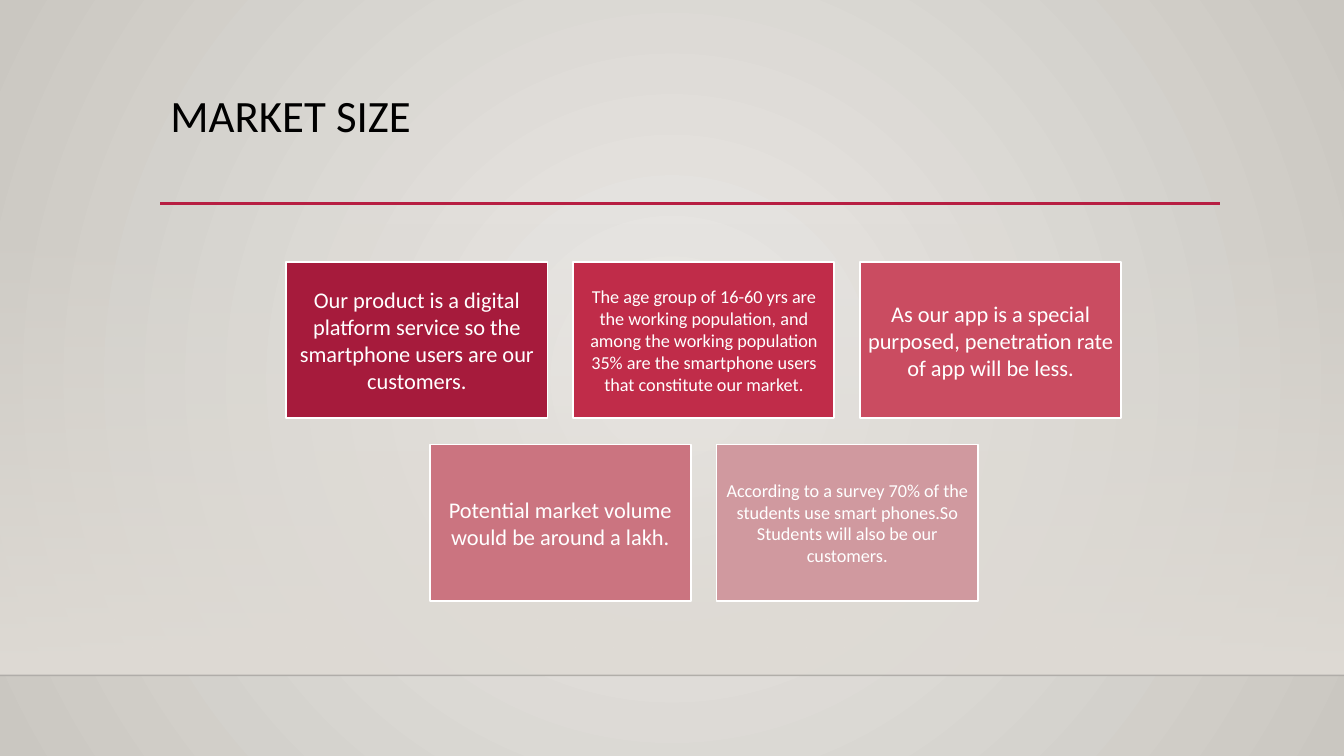
"""Build the market size slide with five statement cards."""
import pptx
import pptx.dml.color
import pptx.enum.shapes
import pptx.enum.text
import pptx.oxml
import pptx.oxml.ns
import pptx.util
from pptx.util import Inches

COLORS = {
    "glow": "ECEAE7", "edge": "CAC7C1", "wall": "DFDBD5", "floor_line": "000001",
    "rule": "B71E42", "title": "000000", "white": "FFFFFF",
    "card1": "A61B3C", "card2": "C02C49", "card3": "CA4C61",
    "card4": "CB7480", "card5": "D0999F",
}
CARD_WIDTH, CARD_HEIGHT = 2.59, 1.55
STEP_X, STEP_Y = 2.845, 1.81
CARDS_CENTER, CARDS_TOP = 6.98, 2.6
ROWS = [
    [("Our product is a digital platform service so the smartphone users are our customers.", 16),
     ("The age group of 16-60 yrs are the working population, and among the working population "
      "35% are the smartphone users that constitute our market.", 13),
     ("As our app is a special purposed, penetration rate of app will be less.", 16)],
    [("Potential market volume would be around a lakh.", 16),
     ("According to a survey 70% of the students use smart phones.So Students will also be our "
      "customers.", 13)],
]


def color(name):
    return pptx.dml.color.RGBColor.from_string(COLORS[name])


def write(box, text, size=16, ink="white", align="CENTER", anchor="MIDDLE",
          inset_x=0.07, inset_y=0.07, spacing=1.0):
    frame = box.text_frame
    frame.word_wrap = True
    frame.auto_size = pptx.enum.text.MSO_AUTO_SIZE.NONE
    frame.vertical_anchor = pptx.enum.text.MSO_ANCHOR[anchor]
    frame.margin_left = frame.margin_right = Inches(inset_x)
    frame.margin_top = frame.margin_bottom = Inches(inset_y)
    para = frame.paragraphs[0]
    para.alignment = pptx.enum.text.PP_ALIGN[align]
    para.line_spacing = spacing
    span = para.add_run()
    span.text = text
    span.font.name = "Calibri"
    span.font.size = pptx.util.Pt(size)
    span.font.color.rgb = color(ink)


deck = pptx.Presentation()
deck.slide_width, deck.slide_height = Inches(13.33), Inches(7.5)
page = deck.slides.add_slide(deck.slide_layouts[5])
qn = pptx.oxml.ns.qn
namespace = pptx.oxml.ns.nsdecls("a")
rectangle = pptx.enum.shapes.MSO_SHAPE.RECTANGLE

backdrop = page.background.fill
backdrop.gradient()
for stop, name in zip(backdrop.gradient_stops, ("glow", "edge")):
    stop.color.rgb = color(name)
gradient = page.element.find(".//" + qn("a:gradFill"))
gradient.replace(gradient.find(qn("a:lin")), pptx.oxml.parse_xml(
    f'<a:path {namespace} path="circle">'
    '<a:fillToRect l="50000" t="50000" r="50000" b="50000"/></a:path>'))

wall = page.shapes.add_shape(rectangle, 0, Inches(2.21), Inches(13.33), Inches(4.49))
wall.shadow.inherit = False
wall.line.fill.background()
wall.fill.gradient()
wall.fill.gradient_angle = 270
for stop in wall.fill.gradient_stops:
    stop.color.rgb = color("wall")
wall.element.find(".//" + qn("a:srgbClr")).append(
    pptx.oxml.parse_xml(f'<a:alpha {namespace} val="0"/>'))

for left, right, top, name, width, opacity in (
        (0, 13.33, 6.7, "floor_line", 1, 20), (1.59, 12.1, 2.02, "rule", 2.5, 100)):
    rule = page.shapes.add_connector(pptx.enum.shapes.MSO_CONNECTOR.STRAIGHT,
                                     Inches(left), Inches(top), Inches(right), Inches(top))
    rule.line.color.rgb = color(name)
    rule.line.width = pptx.util.Pt(width)
    rule.element.find(".//" + qn("a:srgbClr")).append(
        pptx.oxml.parse_xml(f'<a:alpha {namespace} val="{opacity * 1000}"/>'))
    rule.element.spPr.append(pptx.oxml.parse_xml(f"<a:effectLst {namespace}/>"))

title = page.shapes.title
title.left, title.top = Inches(1.59), Inches(0.88)
title.width, title.height = Inches(10.5), Inches(1.15)
write(title, "MARKET SIZE", size=32, ink="title", align="LEFT", anchor="TOP",
      inset_x=0.1, inset_y=0.05, spacing=0.9)

number = 0
for row, cards in enumerate(ROWS):
    first_left = CARDS_CENTER - (CARD_WIDTH + STEP_X * (len(cards) - 1)) / 2
    for column, (text, size) in enumerate(cards):
        number += 1
        card = page.shapes.add_shape(
            rectangle, Inches(first_left + column * STEP_X), Inches(CARDS_TOP + row * STEP_Y),
            Inches(CARD_WIDTH), Inches(CARD_HEIGHT))
        card.shadow.inherit = False
        card.fill.solid()
        card.fill.fore_color.rgb = color(f"card{number}")
        card.line.color.rgb = color("white")
        card.line.width = pptx.util.Pt(1.25)
        inset = 0.07 if size == 16 else 0.05
        write(card, text, size=size, inset_x=inset, inset_y=inset)

deck.save("out.pptx")
